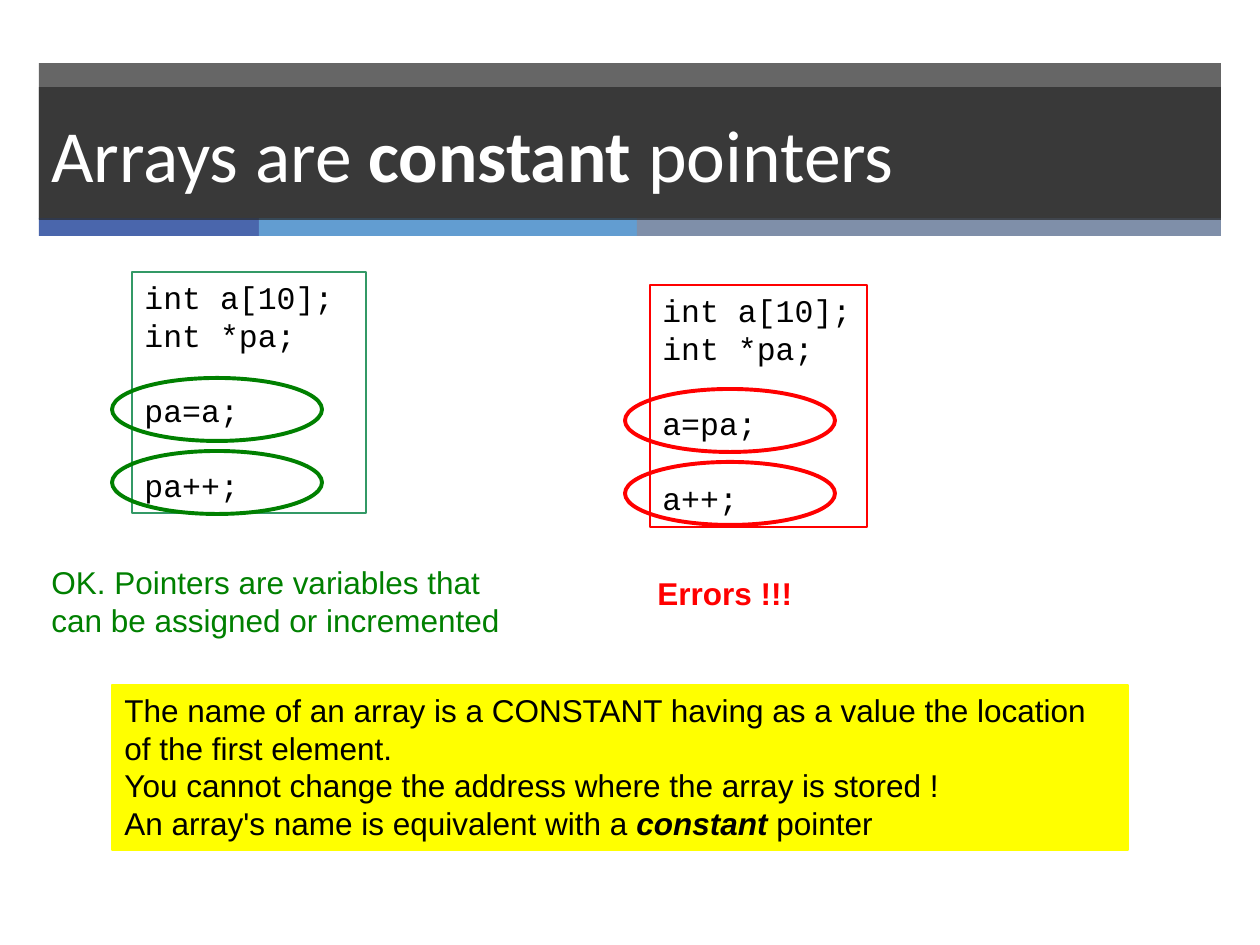
from dataclasses import dataclass

from lxml import etree
from pptx import Presentation
from pptx.dml.color import RGBColor
from pptx.enum.shapes import MSO_SHAPE
from pptx.enum.text import MSO_ANCHOR, PP_ALIGN
from pptx.oxml.ns import qn
from pptx.util import Pt

RECT, OVAL = MSO_SHAPE.RECTANGLE, MSO_SHAPE.OVAL
TOP, MIDDLE = MSO_ANCHOR.TOP, MSO_ANCHOR.MIDDLE
LEFT = PP_ALIGN.LEFT
PIXEL = 914400 / 126
LEAD = 21.5
COLORS = {
    "dark": "262626", "blue": "4A66AC", "sky": "629DD1", "slate": "7F8FA9",
    "white": "FFFFFF", "black": "000000", "yellow": "FFFF00",
    "sea": "339966", "green": "008000", "red": "FF0000",
}


@dataclass
class Box:
    """Place and size in pixels."""
    x: int
    y: int
    w: int
    h: int


@dataclass
class Run:
    """A piece of text with one style."""
    text: str
    bold: bool = False
    italic: bool = False


@dataclass
class Line:
    """A paragraph and the space above it in points."""
    runs: list[Run]
    gap: float = 0


@dataclass
class Font:
    """Face, size and colour of a text."""
    name: str
    color: str
    size: int = 18


@dataclass
class Panel:
    """A code sample with two circled statements and a verdict."""
    code: Box
    edge: str
    width: float
    ink: str
    marks: tuple[str, str]
    ovals: Box
    note: Box
    verdict: list[Line]


def emu(box: Box) -> list[int]:
    """Turn pixels into EMU."""
    return [round(v * PIXEL) for v in (box.x, box.y, box.w, box.h)]


def rgb(name: str) -> RGBColor:
    """Look up a colour."""
    return RGBColor.from_string(COLORS[name])


def draw(slide, box: Box, fill: str = "", edge: str = "", width: float = 0,
         kind=RECT, alpha: int = 100):
    """Draw a preset shape."""
    shape = slide.shapes.add_shape(kind, *emu(box))
    shape.shadow.inherit = False
    if fill:
        shape.fill.solid()
        shape.fill.fore_color.rgb = rgb(fill)
        if alpha < 100:
            tint = shape.fill._xPr.find(".//" + qn("a:srgbClr"))
            etree.SubElement(tint, qn("a:alpha"), val=str(alpha * 1000))
    else:
        shape.fill.background()
    if edge:
        shape.line.color.rgb = rgb(edge)
        shape.line.width = Pt(width)
    else:
        shape.line.fill.background()
    return shape


def write(shape, lines: list[Line], font: Font, anchor=TOP,
          wrap: bool = True, lead: float = LEAD) -> None:
    """Fill a shape with text, run by run."""
    frame = shape.text_frame
    frame.word_wrap = wrap
    frame.vertical_anchor = anchor
    for i, line in enumerate(lines):
        para = frame.add_paragraph() if i else frame.paragraphs[0]
        para.alignment = LEFT
        para.space_before = Pt(line.gap)
        if lead:
            para.line_spacing = Pt(lead)
        for part in line.runs:
            run = para.add_run()
            run.text = part.text
            run.font.name = font.name
            run.font.size = Pt(font.size)
            run.font.color.rgb = rgb(font.color)
            run.font.bold = part.bold
            run.font.italic = part.italic


def show(slide, panel: Panel) -> None:
    """Draw one code panel."""
    code = [Line([Run("int a[10];")]), Line([Run("int *pa;")])]
    code += [Line([Run(mark)], LEAD) for mark in panel.marks]
    frame = draw(slide, panel.code, edge=panel.edge, width=panel.width)
    write(frame, code, Font("Courier New", "black"))
    note = slide.shapes.add_textbox(*emu(panel.note))
    write(note, panel.verdict, Font("Arial", panel.ink), wrap=False)
    first = panel.ovals
    for i in range(len(panel.marks)):
        ring = Box(first.x, first.y + 73 * i, first.w, first.h)
        draw(slide, ring, edge=panel.ink, width=2.25, kind=OVAL)


PANELS = [
    Panel(Box(132, 272, 234, 241), "sea", 0.75, "green", ("pa=a;", "pa++;"),
          Box(112, 378, 210, 63), Box(39, 557, 474, 88),
          [Line([Run("OK. Pointers are variables that")]),
           Line([Run("can be assigned or incremented")])]),
    Panel(Box(650, 285, 217, 242), "red", 1.5, "red", ("a=pa;", "a++;"),
          Box(625, 389, 210, 63), Box(645, 568, 160, 50),
          [Line([Run("Errors !!!", bold=True)])]),
]
TITLE = [Line([Run("Arrays are "), Run("constant", bold=True),
               Run(" pointers")])]
RULE = [
    Line([Run("The name of an array is a CONSTANT having as a value "
              "the location of the first element.")]),
    Line([Run("You cannot change the address where the array is stored !")]),
    Line([Run("An array's name is equivalent with a "),
          Run("constant ", bold=True, italic=True), Run("pointer")]),
]
STRIPES = [("blue", 220), ("sky", 378), ("slate", 584)]


def main() -> None:
    """Build the slide and save it."""
    deck = Presentation()
    deck.slide_width, deck.slide_height = emu(Box(0, 0, 1260, 945))[2:]
    slide = deck.slides.add_slide(deck.slide_layouts[6])
    draw(slide, Box(39, 63, 1182, 156), "dark", alpha=70)
    x = 39
    for color, width in STRIPES:
        draw(slide, Box(x, 218, width, 18), color)
        x += width
    head = draw(slide, Box(39, 87, 1182, 133), "dark", alpha=70)
    write(head, TITLE, Font("Calibri", "white", 42), MIDDLE, lead=0)
    rule = draw(slide, Box(112, 685, 1016, 165), "yellow", "yellow", 0.75)
    write(rule, RULE, Font("Arial", "black"))
    for panel in PANELS:
        show(slide, panel)
    deck.save("out.pptx")


main()
